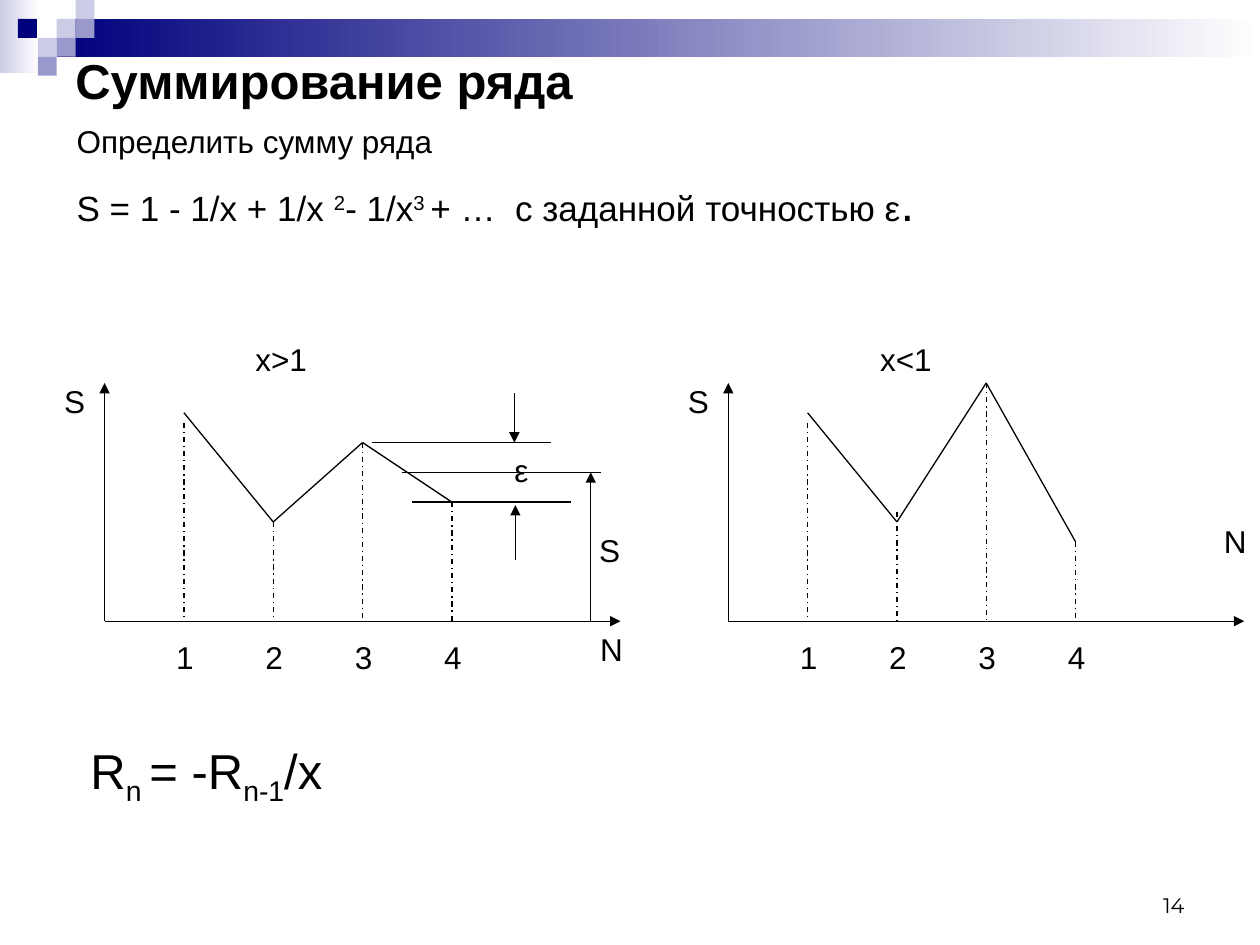
from typing import NamedTuple

from lxml.etree import SubElement
from pptx import Presentation
from pptx.dml.color import RGBColor
from pptx.enum.dml import MSO_LINE_DASH_STYLE as Dash
from pptx.enum.shapes import MSO_CONNECTOR as Connector, MSO_SHAPE as Shape
from pptx.enum.text import MSO_ANCHOR as Anchor, PP_ALIGN as Align
from pptx.oxml.ns import qn
from pptx.util import Inches, Pt

TILE = 0.15
CELL = 1.89 / 24
BLACK = "000000"
TICKS = (8, 17, 26, 35)
TICK_ROW = -3.6


class Tile(NamedTuple):
    column: float
    row: float
    fill: str


class Band(NamedTuple):
    left: float
    top: float
    width: float
    height: float
    start: str


class Span(NamedTuple):
    text: str
    baseline: int = 0
    size: float | None = None


class Segment(NamedTuple):
    start: tuple[float, float]
    end: tuple[float, float]
    arrow: bool = False
    dashed: bool = False


class Label(NamedTuple):
    text: str
    column: float
    row: float
    columns: float = 5


class Graph(NamedTuple):
    left: float
    bottom: float
    values: tuple[float, ...]
    drop_tops: tuple[float, ...]
    labels: tuple[Label, ...]
    extras: tuple[Segment, ...] = ()


BANDS = (
    Band(0, 0, 0.31, 0.58, "CCCCE6"),
    Band(3 * TILE, TILE, 10 - 3 * TILE, 2 * TILE, "00007D"),
)
TILES = (
    Tile(3, 1, "CCCCE6"),
    Tile(4, 0, "CCCCE6"),
    Tile(4, 1, "9999CC"),
    Tile(2, 2, "CCCCE6"),
    Tile(0.95, 1, "00007D"),
    Tile(3, 2, "9999CC"),
    Tile(2, 3, "9999CC"),
)
SERIES = (
    Span("S = 1 - 1/x + 1/x "),
    Span("2", 30),
    Span("- 1/x"),
    Span("3 ", 30),
    Span("+ …  с заданной точностью ε"),
    Span(".", size=28),
)
RECURRENCE = (
    Span("R"), Span("n ", -25), Span("= -R"), Span("n-1", -25), Span("/x"),
)
GRAPHS = (
    Graph(
        0.83, 4.93, (21, 10, 18, 12), (20, 10, 18, 12),
        (Label("x>1", 17.8, 26.4, 10), Label("N", 51.1, -2.8),
         Label("ε", 42, 15.2), Label("S", 50.9, 7.2)),
        (Segment((31, 12), (47, 12)),
         Segment((27, 18), (45, 18)),
         Segment((30, 15), (50, 15)),
         Segment((41.3, 23), (41.3, 18), arrow=True),
         Segment((41.4, 6.2), (41.4, 11.7), arrow=True),
         Segment((49, 0), (49, 15), arrow=True)),
    ),
    Graph(
        5.78, 4.93, (21, 10, 24, 8), (20, 11, 24, 8),
        (Label("x<1", 17.9, 26.4, 10), Label("N", 51.1, 8.1)),
    ),
)


def color(value: str) -> RGBColor:
    return RGBColor.from_string(value)


def add_block(page, left: float, top: float, width: float, height: float):
    block = page.shapes.add_shape(
        Shape.RECTANGLE, Inches(left), Inches(top), Inches(width), Inches(height))
    block.shadow.inherit = False
    block.line.fill.background()
    return block


def draw_band(page, band: Band) -> None:
    fill = add_block(page, band.left, band.top, band.width, band.height).fill
    fill.gradient()
    fill.gradient_angle = 0
    for stop, value in zip(fill.gradient_stops, (band.start, "FFFFFF")):
        stop.color.rgb = color(value)


def draw_tile(page, tile: Tile) -> None:
    fill = add_block(page, tile.column * TILE, tile.row * TILE, TILE, TILE).fill
    fill.solid()
    fill.fore_color.rgb = color(tile.fill)


def add_box(page, left: float, top: float, width: float, height: float, *,
            anchor=Anchor.TOP, wrap: bool = True):
    box = page.shapes.add_textbox(Inches(left), Inches(top), Inches(width), Inches(height))
    box.text_frame.word_wrap = wrap
    box.text_frame.vertical_anchor = anchor
    return box.text_frame


def write(para, text: str | tuple[Span, ...], *, size: float = 18, font: str = "Arial",
          bold: bool = False, align=Align.LEFT, before: float = 0) -> None:
    para.alignment = align
    para.space_before = Pt(before)
    for part in (Span(text),) if isinstance(text, str) else text:
        span = para.add_run()
        span.text = part.text
        span.font.name = font
        span.font.size = Pt(part.size or size)
        span.font.bold = bold
        span.font.color.rgb = color(BLACK)
        if part.baseline:
            span.font._element.set("baseline", str(part.baseline * 1000))


def draw_segment(page, graph: Graph, segment: Segment) -> None:
    points = [Inches(value) for column, row in (segment.start, segment.end)
              for value in (graph.left + column * CELL, graph.bottom - row * CELL)]
    connector = page.shapes.add_connector(Connector.STRAIGHT, *points)
    connector.line.color.rgb = color(BLACK)
    connector.line.width = Pt(0.75)
    if segment.dashed:
        connector.line.dash_style = Dash.DASH_DOT
    if segment.arrow:
        SubElement(connector.line._get_or_add_ln(), qn("a:tailEnd"), type="triangle")
    SubElement(connector._element.spPr, qn("a:effectLst"))


def draw_label(page, graph: Graph, label: Label) -> None:
    width, height = label.columns * CELL, 0.4
    frame = add_box(page, graph.left + label.column * CELL - width / 2,
                    graph.bottom - label.row * CELL - height / 2, width, height, wrap=False)
    write(frame.paragraphs[0], label.text, align=Align.CENTER)


def draw_graph(page, graph: Graph) -> None:
    points = list(zip(TICKS, graph.values))
    segments = [Segment((0, 0), (52, 0), arrow=True), Segment((0, 0), (0, 24), arrow=True)]
    segments += [Segment(start, end) for start, end in zip(points, points[1:])]
    segments += [Segment((tick, top), (tick, 0), dashed=True)
                 for tick, top in zip(TICKS, graph.drop_tops)]
    for segment in (*segments, *graph.extras):
        draw_segment(page, graph, segment)
    ticks = [Label(str(number), tick + 0.1, TICK_ROW) for number, tick in enumerate(TICKS, 1)]
    for label in (Label("S", -3, 22.2), *ticks, *graph.labels):
        draw_label(page, graph, label)


def main() -> None:
    deck = Presentation()
    deck.slide_width, deck.slide_height = Inches(10), Inches(7.5)
    page = deck.slides.add_slide(deck.slide_layouts[6])
    for band in BANDS:
        draw_band(page, band)
    for tile in TILES:
        draw_tile(page, tile)
    number = add_box(page, 7.17, 6.83, 2.33, 0.5, anchor=Anchor.BOTTOM)
    write(number.paragraphs[0], "14", size=12, font="Montserrat", align=Align.RIGHT)
    title = add_box(page, 0.5, 0.28, 9, 0.71, anchor=Anchor.MIDDLE)
    write(title.paragraphs[0], "Суммирование ряда", size=28, bold=True)
    task = add_box(page, 0.51, 0.92, 9.21, 1)
    write(task.paragraphs[0], "Определить сумму ряда")
    write(task.add_paragraph(), SERIES, size=20, before=7)
    formula = add_box(page, 0.62, 5.83, 9.1, 0.6)
    write(formula.paragraphs[0], RECURRENCE, size=28)
    for graph in GRAPHS:
        draw_graph(page, graph)
    deck.save("out.pptx")


if __name__ == "__main__":
    main()
